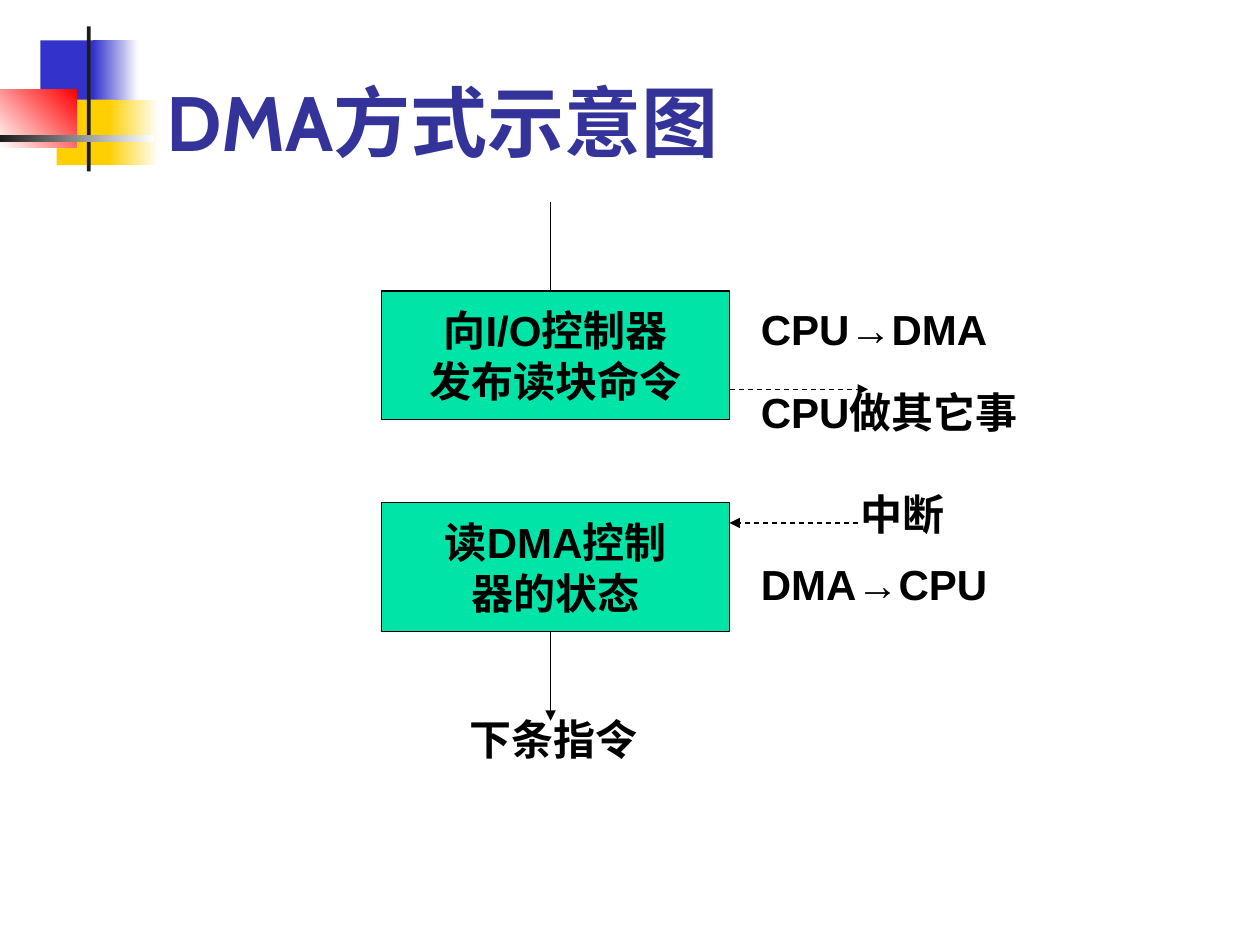
"""Builds the slide that shows how DMA transfers a block."""
import pptx
import pptx.dml.color
import pptx.enum.dml
import pptx.enum.shapes
import pptx.enum.text
import pptx.oxml.ns
import pptx.util
from lxml import etree

RGBColor = pptx.dml.color.RGBColor
WHITE = RGBColor(0xFF, 0xFF, 0xFF)
BLACK = RGBColor(0, 0, 0)
CHARCOAL = RGBColor(0x1C, 0x1C, 0x1C)
BLUE = RGBColor(0x33, 0x33, 0xCC)
YELLOW = RGBColor(0xFF, 0xCF, 0x01)
RED = RGBColor(0xFF, 0, 0)
TITLE_BLUE = RGBColor(0x33, 0x33, 0x99)
GREEN = RGBColor(0, 0xE4, 0xA8)

WIDTH, HEIGHT = pptx.util.Inches(10), pptx.util.Inches(7.5)
COLUMNS, ROWS = 100, 75

STEP_LEFT, STEP_WIDTH, STEP_HEIGHT = 30.3, 27.6, 10.2
STEP_RIGHT = STEP_LEFT + STEP_WIDTH
COMMAND_TOP, STATUS_TOP = 23.1, 39.9
FLOW_COLUMN, FLOW_LENGTH = 43.7, 7.1


def grid(column, row):
    """Turns a grid position into slide lengths."""
    return int(column * WIDTH / COLUMNS), int(row * HEIGHT / ROWS)


def add_block(slide, left, top, width, height, color, end_color=None, angle=0):
    """Draws a plain rectangle with a solid or two-colour fill."""
    block = slide.shapes.add_shape(
        pptx.enum.shapes.MSO_SHAPE.RECTANGLE, *grid(left, top), *grid(width, height))
    block.shadow.inherit = False
    block.line.fill.background()
    if end_color is None:
        block.fill.solid()
        block.fill.fore_color.rgb = color
    else:
        block.fill.gradient()
        block.fill.gradient_angle = angle
        for stop, stop_color in zip(block.fill.gradient_stops, (color, end_color)):
            stop.color.rgb = stop_color
    return block


def write(frame, lines, size=24, font="Arial", color=BLACK, align=None):
    """Fills a text frame with bold lines of one style."""
    frame.text = "\n".join(lines)
    for paragraph in frame.paragraphs:
        paragraph.alignment = align
        paragraph.font.size = pptx.util.Pt(size)
        paragraph.font.name = font
        paragraph.font.bold = True
        paragraph.font.color.rgb = color


def add_step(slide, top, lines):
    """Draws one outlined step of the flow."""
    step = add_block(slide, STEP_LEFT, top, STEP_WIDTH, STEP_HEIGHT, GREEN)
    step.line.color.rgb = BLACK
    step.line.width = pptx.util.Pt(0.75)
    step.text_frame.word_wrap = False
    step.text_frame.vertical_anchor = pptx.enum.text.MSO_ANCHOR.MIDDLE
    write(step.text_frame, lines, align=pptx.enum.text.PP_ALIGN.CENTER)


def add_label(slide, left, top, width, height, text, **style):
    """Places a wrapping line of text and returns its frame."""
    frame = slide.shapes.add_textbox(*grid(left, top), *grid(width, height)).text_frame
    frame.word_wrap = True
    write(frame, [text], **style)
    return frame


def add_flow(slide, start, end, arrow=True, dashed=False):
    """Draws a thin line between two grid positions."""
    flow = slide.shapes.add_connector(
        pptx.enum.shapes.MSO_CONNECTOR.STRAIGHT, *grid(*start), *grid(*end))
    flow.line.color.rgb = BLACK
    flow.line.width = pptx.util.Pt(0.75)
    if dashed:
        flow.line.dash_style = pptx.enum.dml.MSO_LINE.DASH
    if arrow:
        outline = flow.line._get_or_add_ln()
        etree.SubElement(outline, pptx.oxml.ns.qn("a:tailEnd"), type="triangle")
    etree.SubElement(flow._element.spPr, pptx.oxml.ns.qn("a:effectLst"))


def add_ornament(slide):
    """Draws the coloured blocks and bars beside the title."""
    add_block(slide, 3.2, 3.2, 4.8, 5.2, BLUE)
    add_block(slide, 7.4, 3.2, 3.6, 5.2, BLUE, WHITE)
    add_block(slide, 4.5, 7.9, 4.6, 5.2, YELLOW)
    add_block(slide, 8.6, 7.9, 4, 5.2, YELLOW, WHITE)
    add_block(slide, 0, 7.1, 6.1, 4.6, WHITE, RED, angle=45)
    add_block(slide, 6.9, 2.1, 0.3, 11.5, CHARCOAL)
    add_block(slide, 0, 10.7, 12.2, 0.6, CHARCOAL, WHITE)


def main():
    """Builds and saves the slide."""
    deck = pptx.Presentation()
    deck.slide_width, deck.slide_height = WIDTH, HEIGHT
    slide = deck.slides.add_slide(deck.slide_layouts[6])

    add_ornament(slide)
    title = add_label(slide, 12.2, 5.2, 85.2, 8.5, "DMA方式示意图",
                      size=44, font="Cabin", color=TITLE_BLUE)
    title.vertical_anchor = pptx.enum.text.MSO_ANCHOR.BOTTOM

    add_step(slide, COMMAND_TOP, ["向I/O控制器", "发布读块命令"])
    add_step(slide, STATUS_TOP, ["读DMA控制", "器的状态"])

    status_bottom = STATUS_TOP + STEP_HEIGHT
    add_flow(slide, (FLOW_COLUMN, status_bottom), (FLOW_COLUMN, status_bottom + FLOW_LENGTH))
    add_flow(slide, (FLOW_COLUMN, COMMAND_TOP - FLOW_LENGTH), (FLOW_COLUMN, COMMAND_TOP),
             arrow=False)
    add_flow(slide, (STEP_RIGHT, 30.9), (68.9, 30.9), dashed=True)
    add_flow(slide, (68.1, 41.5), (STEP_RIGHT, 41.5), dashed=True)

    add_label(slide, 36.3, 56.1, 15.7, 5, "下条指令")
    add_label(slide, 59.4, 30.2, 22.8, 9, "CPU做其它事")
    add_label(slide, 67.3, 38.3, 10.2, 5, "中断")
    add_label(slide, 59.4, 23.6, 20.5, 5, "CPU→DMA")
    add_label(slide, 59.4, 43.8, 20.5, 5, "DMA→CPU")

    deck.save("out.pptx")


if __name__ == "__main__":
    main()
